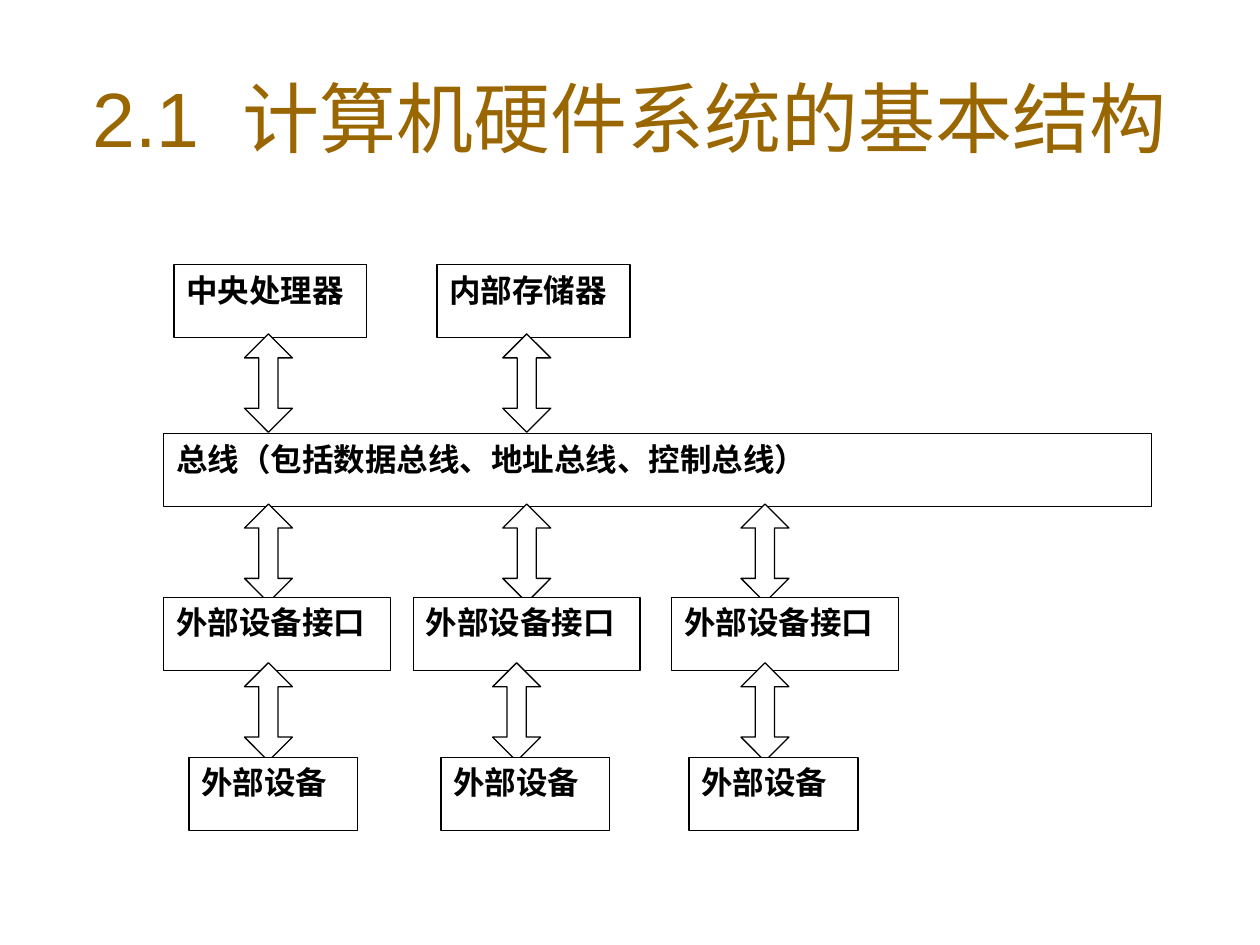
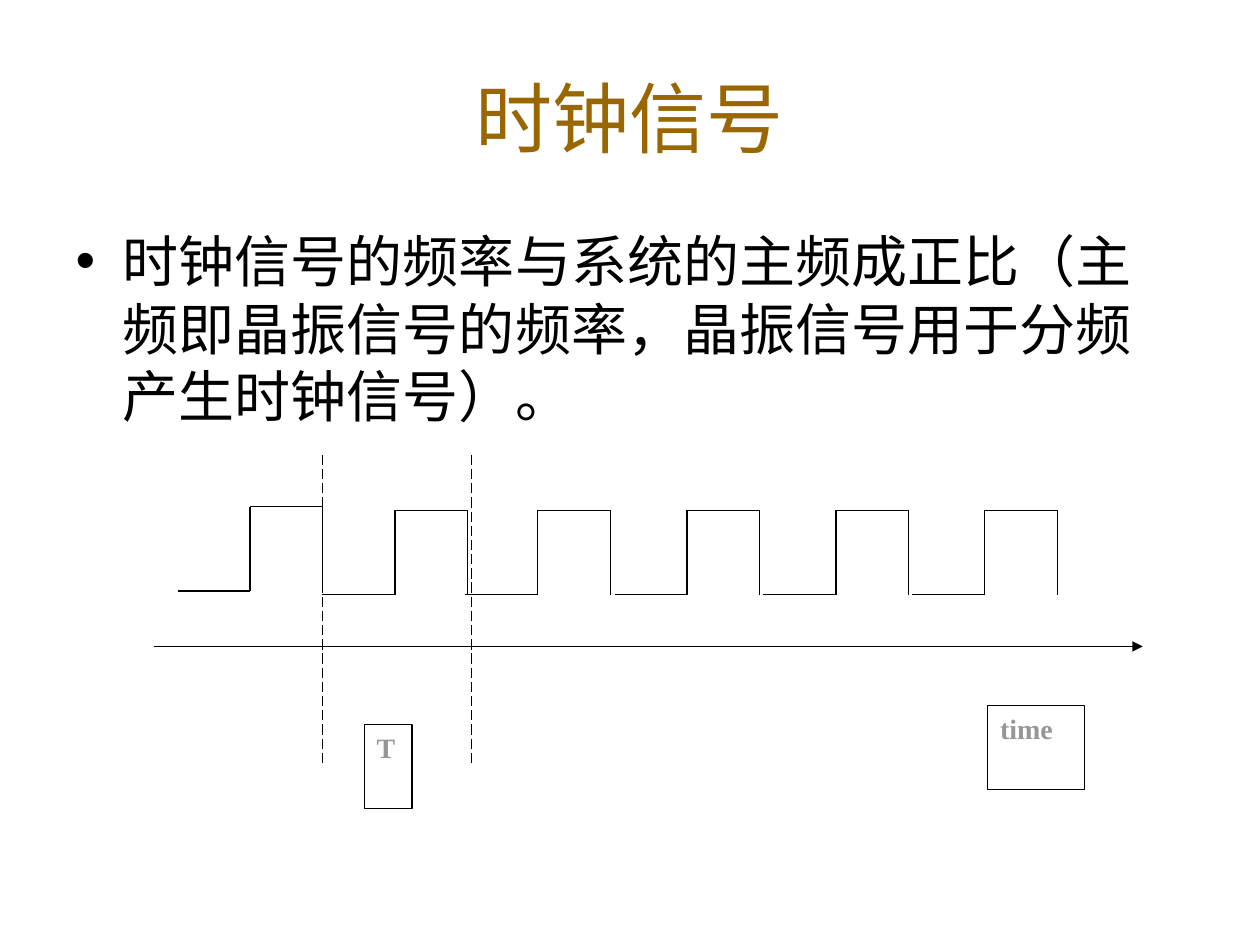
from pptx import Presentation
from pptx.dml.color import RGBColor
from pptx.enum.dml import MSO_LINE
from pptx.enum.shapes import MSO_CONNECTOR, MSO_SHAPE
from pptx.enum.text import MSO_ANCHOR, MSO_AUTO_SIZE, PP_ALIGN
from pptx.oxml.ns import qn
from pptx.util import Pt
from lxml import etree

RECT, ARROW = MSO_SHAPE.RECTANGLE, MSO_SHAPE.UP_DOWN_ARROW
STRAIGHT = MSO_CONNECTOR.STRAIGHT
LONG_DASH = MSO_LINE.LONG_DASH
TOP, MIDDLE = MSO_ANCHOR.TOP, MSO_ANCHOR.MIDDLE
CENTER, JUSTIFY = PP_ALIGN.CENTER, PP_ALIGN.JUSTIFY
NO_FIT = MSO_AUTO_SIZE.NONE

BLACK, WHITE, BROWN, GREY = "000000", "FFFFFF", "996600", "969696"
TITLE_FONT = {"name": "Arial", "size": Pt(44), "color": BROWN}
BODY_FONT = {"name": "Arial", "size": Pt(32), "color": BLACK}
BOX_FONT = {"name": "Times New Roman", "size": Pt(18), "bold": True, "color": BLACK}
MARK_FONT = {**BOX_FONT, "size": Pt(16), "color": GREY}

STRUCTURE_TITLE = "2.1  计算机硬件系统的基本结构"
BOX_H = 41.8
BOX_ROWS = [
    (151.2, 110.2, [(99.4, "中央处理器"), (249.8, "内部存储器")]),
    (247.7, 564.5, [(93.6, "总线（包括数据总线、地址总线、控制总线）")]),
    (341.3, 129.6, [(x, "外部设备接口") for x in (93.6, 236.2, 383.8)]),
    (432.7, 96.5, [(x, "外部设备") for x in (108, 252, 393.8)]),
]
ARROW_W, ARROW_H = 27.4, 56.2
ARROW_ROWS = [
    (190.8, [139.7, 287.3]),
    (288, [139.7, 287.3, 423.4]),
    (378.7, [139.7, 281.5, 423.4]),
]

CLOCK_TITLE = "时钟信号"
CLOCK_TEXT = ("时钟信号的频率与系统的主频成正比（主频即晶振信号的频率，"
              "晶振信号用于分频产生时钟信号）。")
CYCLES = [(101.5, 337.7)] + [(x, 339.8) for x in (184.3, 265.9, 351.2, 436.3, 521.3)]
HALF_CYCLE, PULSE_H = 41.4, 48.2
PERIOD_XS, PERIOD_TOP, PERIOD_BOTTOM = (184.3, 269.3), 259.9, 437.8
AXIS = (87.8, 369.4, 653, 369.4)
MARKS = [("T", 208.1, 414, 27.4, 48.2), ("time", 564.5, 403.2, 55.4, 48.2)]


def rgb(color):
    return RGBColor.from_string(color)


def write(tf, text, fmt, align=None):
    p = tf.paragraphs[0]
    p.alignment = align
    r = p.add_run()
    r.text = text
    for key, value in fmt.items():
        if key == "color":
            r.font.color.rgb = rgb(value)
        else:
            setattr(r.font, key, value)
    return p


def place(sp, *box):
    for key, value in zip(("left", "top", "width", "height"), box):
        setattr(sp, key, Pt(value))


def add_slide(prs, layout, title):
    s = prs.slides.add_slide(prs.slide_layouts[layout])
    sp = s.shapes.title
    place(sp, 36, 21.6, 648, 90)
    tf = sp.text_frame
    tf.auto_size, tf.vertical_anchor = NO_FIT, MIDDLE
    write(tf, title, TITLE_FONT, CENTER)
    return s


def add_outlined(s, kind, *box):
    sp = s.shapes.add_shape(kind, *map(Pt, box))
    sp.shadow.inherit = False
    sp.fill.solid()
    sp.fill.fore_color.rgb = rgb(WHITE)
    sp.line.color.rgb = rgb(BLACK)
    sp.line.width = Pt(0.75)
    return sp


def add_box(s, text, fmt, *box):
    tf = add_outlined(s, RECT, *box).text_frame
    tf.word_wrap, tf.vertical_anchor = True, TOP
    write(tf, text, fmt, JUSTIFY)


def add_line(s, *ends, dash=None, arrow=False):
    c = s.shapes.add_connector(STRAIGHT, *map(Pt, ends))
    c.line.color.rgb = rgb(BLACK)
    c.line.width = Pt(0.75)
    if dash:
        c.line.dash_style = dash
    spPr = c._element.spPr
    if arrow:
        etree.SubElement(spPr.find(qn("a:ln")), qn("a:tailEnd"), type="triangle")
    etree.SubElement(spPr, qn("a:effectLst"))


def build_structure(prs):
    s = add_slide(prs, 5, STRUCTURE_TITLE)

    def add_box_row(row):
        top, width, boxes = row
        for x, text in boxes:
            add_box(s, text, BOX_FONT, x, top, width, BOX_H)

    add_box_row(BOX_ROWS[0])
    for row, (top, xs) in zip(BOX_ROWS[1:], ARROW_ROWS):
        for x in xs:
            sp = add_outlined(s, ARROW, x, top, ARROW_W, ARROW_H)
            sp.adjustments[0], sp.adjustments[1] = 0.5, 0.4
        add_box_row(row)


def build_clock(prs):
    s = add_slide(prs, 1, CLOCK_TITLE)
    body = s.placeholders[1]
    place(body, 36, 126, 648, 356.4)
    body.text_frame.auto_size = NO_FIT
    write(body.text_frame, CLOCK_TEXT, BODY_FONT).space_before = Pt(8)

    for start, low in CYCLES:
        rise, fall, high = start + HALF_CYCLE, start + 2 * HALF_CYCLE, low - PULSE_H
        corners = [(start, low), (rise, low), (rise, high), (fall, high), (fall, low)]
        for a, b in zip(corners, corners[1:]):
            add_line(s, *a, *b)
    for x in PERIOD_XS:
        add_line(s, x, PERIOD_TOP, x, PERIOD_BOTTOM, dash=LONG_DASH)
    add_line(s, *AXIS, arrow=True)
    for text, *box in MARKS:
        add_box(s, text, MARK_FONT, *box)


def main():
    prs = Presentation()
    prs.slide_width, prs.slide_height = Pt(720), Pt(540)
    build_structure(prs)
    build_clock(prs)
    prs.save("out.pptx")


if __name__ == "__main__":
    main()
